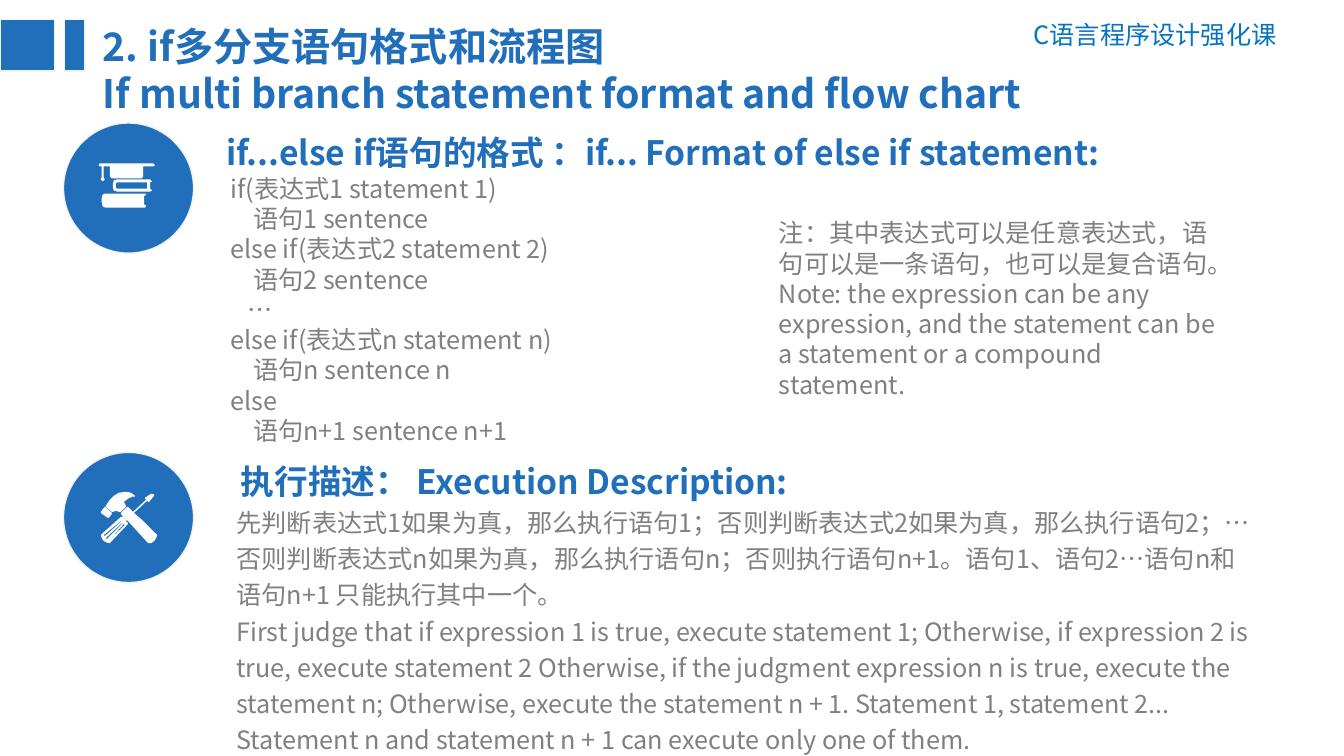
import pptx
import pptx.util
import pptx.dml.color
import pptx.enum.shapes
import pptx.enum.text
import pptx.oxml.ns
import lxml.etree

Cm = pptx.util.Cm
Pt = pptx.util.Pt
COLORS = {"blue": "216FBA", "course": "0573C2", "gray": "808080", "edge": "F2F2F2", "white": "FFFFFF"}
FONT = "Noto Sans CJK SC"
ICON_UNIT = Cm(0.0254)

BOOKS = [
    [(82, 82), (81, 84), (42, 84), (39, 83), (38, 79), (38, 74), (39, 71), (42, 70), (81, 70),
     (82, 71), (81, 72), (80, 72), (80, 81), (81, 81)],
    [(88, 67), (86, 68), (53, 68), (50, 67), (49, 64), (49, 60), (50, 57), (53, 56), (86, 56),
     (88, 58), (86, 59), (86, 65)],
    [(53, 65), (83, 65), (83, 59), (53, 59), (52, 60), (52, 64)],
    [(89, 40), (36, 40), (35, 42), (36, 43), (38, 43), (38, 54), (37, 56), (39, 58), (41, 56),
     (40, 54), (40, 43), (46, 43), (46, 53), (48, 55), (78, 55), (79, 53), (79, 43), (89, 43), (91, 42)],
]
TOOLS = [
    [(60, 71), (45, 87), (61, 72)],
    [(58, 70), (42, 85), (43, 86), (59, 70)],
    [(57, 68), (40, 82), (41, 83), (57, 69)],
    [(41, 54), (48, 60), (48, 61), (45, 65), (44, 65), (37, 60), (37, 59)],
    [(87, 41), (88, 41), (90, 42), (90, 43), (85, 49), (84, 49), (83, 48), (70, 60), (77, 66),
     (92, 81), (93, 82), (92, 85), (90, 88), (87, 90), (84, 90), (63, 67), (62, 68), (64, 70),
     (64, 71), (46, 90), (45, 90), (42, 89), (40, 88), (38, 85), (37, 82), (38, 81), (57, 64),
     (59, 64), (61, 67), (61, 66), (57, 61), (57, 60), (63, 54), (64, 54), (69, 59), (82, 47),
     (81, 46), (81, 45)],
    [(62, 39), (67, 40), (71, 43), (71, 44), (68, 44), (64, 46), (60, 49), (62, 53), (62, 54),
     (57, 59), (55, 59), (52, 58), (49, 59), (48, 59), (42, 54), (42, 53), (46, 47), (50, 43), (55, 40)],
]
CODE = [
    ("if(表达式1 statement 1)", 0), ("语句1 sentence", 0.57),
    ("else if(表达式2 statement 2)", 0), ("语句2 sentence", 0.57), ("…", 0.43),
    ("else if(表达式n statement n)", 0), ("语句n sentence n", 0.57),
    ("else", 0), ("语句n+1 sentence n+1", 0.57),
]
NOTE = [
    "注：其中表达式可以是任意表达式，语句可以是一条语句，也可以是复合语句。",
    "Note: the expression can be any expression, and the statement can be a statement or a compound statement.",
]
EXECUTION = [
    "先判断表达式1如果为真，那么执行语句1；否则判断表达式2如果为真，那么执行语句2；"
    "…否则判断表达式n如果为真，那么执行语句n；否则执行语句n+1。"
    "语句1、语句2…语句n和语句n+1 只能执行其中一个。",
    "First judge that if expression 1 is true, execute statement 1; Otherwise, if expression 2 is true, "
    "execute statement 2 Otherwise, if the judgment expression n is true, execute the statement n; "
    "Otherwise, execute the statement n + 1. Statement 1, statement 2... "
    "Statement n and statement n + 1 can execute only one of them.",
]


def rgb(name):
    return pptx.dml.color.RGBColor.from_string(COLORS[name])


def place(shape, box):
    shape.left, shape.top, shape.width, shape.height = (Cm(length) for length in box)


def write(shape, lines, size, color, bold=False, spacing=1.0, align="LEFT"):
    frame = shape.text_frame
    frame.word_wrap = True
    frame.auto_size = pptx.enum.text.MSO_AUTO_SIZE.NONE
    frame.vertical_anchor = pptx.enum.text.MSO_ANCHOR.TOP
    for index, (text, indent) in enumerate(lines):
        para = frame.add_paragraph() if index else frame.paragraphs[0]
        para.alignment = getattr(pptx.enum.text.PP_ALIGN, align)
        para.line_spacing = spacing
        para.space_before = Pt(0)
        if indent:
            para._p.get_or_add_pPr().set("marL", str(Cm(indent)))
        span = para.add_run()
        span.text = text
        span.font.name, span.font.size, span.font.bold = FONT, Pt(size), bold
        span.font.color.rgb = rgb(color)
        east = lxml.etree.SubElement(span.font._element, pptx.oxml.ns.qn("a:ea"))
        east.set("typeface", FONT)


def text_box(page, box, lines, size, color, **style):
    shape = page.shapes.add_textbox(*(Cm(length) for length in box))
    write(shape, lines, size, color, **style)


def plain(texts):
    return [(text, 0) for text in texts]


def blue_shape(page, kind, box):
    shape = page.shapes.add_shape(kind, *(Cm(length) for length in box))
    shape.shadow.inherit = False
    shape.fill.solid()
    shape.fill.fore_color.rgb = rgb("blue")
    shape.line.color.rgb = rgb("edge")
    shape.line.width = Pt(1)


def header(page, box):
    left, top, width, height = box
    for offset, bar_width in ((0, 1.37), (1.63, 0.51)):
        blue_shape(page, pptx.enum.shapes.MSO_SHAPE.RECTANGLE, (left + offset, top + 0.13, bar_width, 1.3))
    place(page.shapes.title, (left + 2.34, top + 0.08, 29.79, 2.64))
    write(page.shapes.title, plain(["2. if多分支语句格式和流程图",
                                    "If multi branch statement format and flow chart"]), 28, "blue", bold=True)
    text_box(page, (left + width - 9.07, top, 7.62, 1.02), plain(["C语言程序设计强化课"]), 18, "course", align="RIGHT")


def badge(page, box, contours):
    left, top, width, height = box
    blue_shape(page, pptx.enum.shapes.MSO_SHAPE.OVAL, box)
    builder = page.shapes.build_freeform(*contours[0][0], scale=ICON_UNIT)
    for contour in contours:
        builder.move_to(*contour[0])
        builder.add_line_segments(contour[1:], close=True)
    icon = builder.convert_to_shape(Cm(left), Cm(top))
    icon.shadow.inherit = False
    icon.fill.solid()
    icon.fill.fore_color.rgb = rgb("white")
    icon.line.fill.background()


def format_section(page, box):
    left, top, width, height = box
    badge(page, (left, top + 0.1, 3.28, 3.28), BOOKS)
    text_box(page, (left + 3.86, top, 25.12, 1.37),
             plain(["if...else if语句的格式 ：if... Format of else if statement:"]), 24, "blue", bold=True, spacing=1.2)
    text_box(page, (left + 3.96, top + 1.24, 13.5, 7.19), CODE, 18, "gray")
    text_box(page, (left + 17.78, top + 2.36, 11.61, 4.88), plain(NOTE), 18, "gray")


def execution_section(page, box):
    left, top, width, height = box
    badge(page, (left, top + 0.12, 3.28, 3.28), TOOLS)
    text_box(page, (left + 4.22, top, 17.83, 1.37), plain(["执行描述： Execution Description:"]),
             24, "blue", bold=True, spacing=1.2)
    text_box(page, (left + 4.11, top + 1.22, 26.26, 6.63), plain(EXECUTION), 18, "gray", spacing=1.2)


deck = pptx.Presentation()
deck.slide_width, deck.slide_height = Cm(33.87), Cm(19.05)
page = deck.slides.add_slide(deck.slide_layouts[5])
header(page, (0, 0.36, 33.87, 2.72))
format_section(page, (1.6, 3.0, 30.67, 8.43))
execution_section(page, (1.6, 11.28, 30.67, 7.85))
deck.save("out.pptx")
